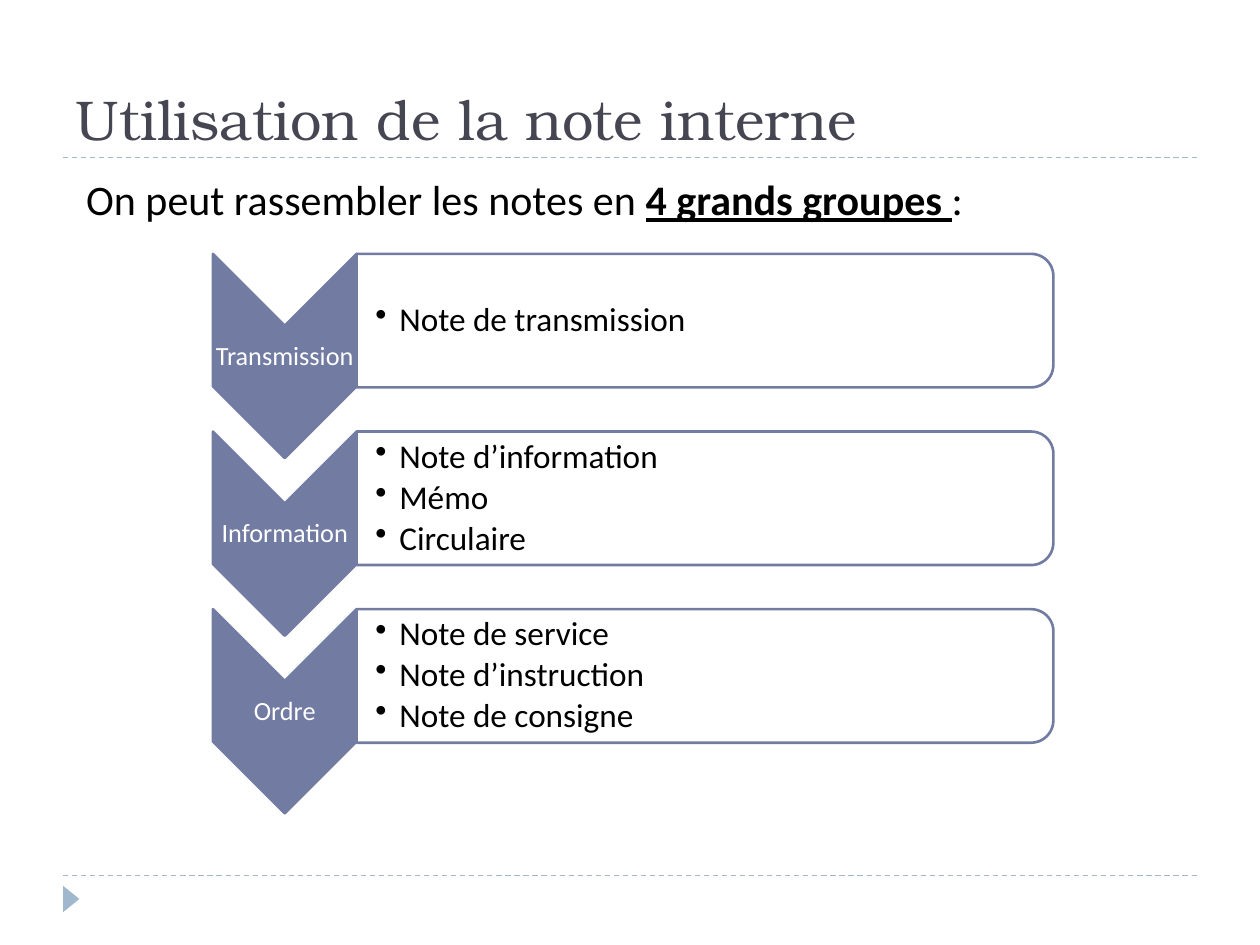
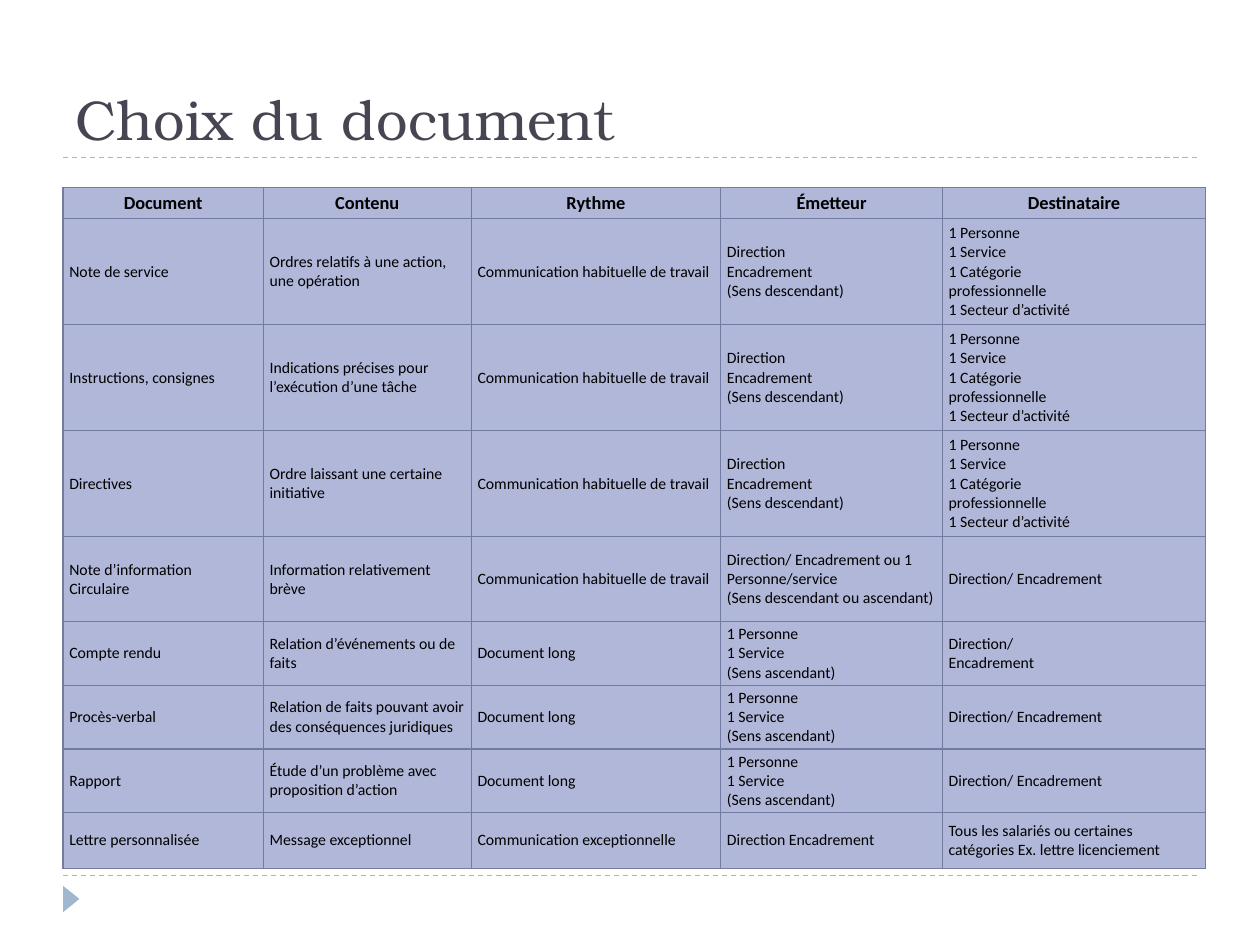
from lxml import etree
from pptx import Presentation
from pptx.dml.color import RGBColor
from pptx.enum.dml import MSO_LINE
from pptx.enum.shapes import MSO_CONNECTOR, MSO_SHAPE
from pptx.enum.text import MSO_ANCHOR, PP_ALIGN
from pptx.oxml.ns import qn
from pptx.util import Inches, Pt

# Square grid: 100 columns by 75 rows
SLIDE_W, SLIDE_H = Inches(10), Inches(7.5)
UNIT = SLIDE_W // 100
MARGIN, CONTENT_W = 5, 90
TITLE_RULE, FOOTER_RULE = 12.5, 69.5

BODY_FONT, TITLE_FONT = "Calibri", "TeX Gyre Bonum"
BLACK, WHITE, INK = "000000", "FFFFFF", "464653"
ACCENT, PALE_BLUE, CELL_BLUE = "727CA3", "9FB8CD", "B0B7D8"

LEFT, CENTER, JUSTIFY = PP_ALIGN.LEFT, PP_ALIGN.CENTER, PP_ALIGN.JUSTIFY
TOP, MIDDLE, BOTTOM = MSO_ANCHOR.TOP, MSO_ANCHOR.MIDDLE, MSO_ANCHOR.BOTTOM
DASH, STRAIGHT = MSO_LINE.DASH, MSO_CONNECTOR.STRAIGHT
TRIANGLE, CHEVRON = MSO_SHAPE.ISOSCELES_TRIANGLE, MSO_SHAPE.CHEVRON
PANEL = MSO_SHAPE.ROUND_2_SAME_RECTANGLE

# Chevron list: geometry in grid units
LIST_TOP, LIST_STEP = 20.15, 14.1
CHEVRON_X, CHEVRON_W, CHEVRON_H = 16.9, 11.4, 16.2
PANEL_X, PANEL_W, PANEL_H = 28.3, 55.3, 10.6

GROUPS = [
    ("Transmission", ["Note de transmission"]),
    ("Information", ["Note d’information", "Mémo", "Circulaire"]),
    ("Ordre", ["Note de service", "Note d’instruction", "Note de consigne"]),
]

# Table: \v breaks a line, \n starts a paragraph
COL_WIDTHS = [15.9, 16.5, 19.8, 17.6, 20.9]
ROW_HEIGHTS = [2.45, 8.42, 8.42, 8.42, 6.75, 5.05, 5.05, 5.05, 4.45]
HEADERS = ["Document", "Contenu", "Rythme", "Émetteur", "Destinataire"]
USUAL, LONG = "Communication habituelle de travail", "Document long"
DOWNWARD = "Direction\vEncadrement\v(Sens descendant)"
UPWARD = "1 Personne\v1 Service\v(Sens ascendant)"
STAFF = ("1 Personne\v1 Service\v1 Catégorie\vprofessionnelle\v"
         "1 Secteur d’activité")
MANAGERS = "Direction/ Encadrement"
DOCUMENTS = [
    ["Note de service", "Ordres relatifs à une action, une opération",
     USUAL, DOWNWARD, STAFF],
    ["Instructions, consignes",
     "Indications précises pour l’exécution d’une tâche",
     USUAL, DOWNWARD, STAFF],
    ["Directives", "Ordre laissant une certaine initiative",
     USUAL, DOWNWARD, STAFF],
    ["Note d’information\vCirculaire", "Information relativement brève", USUAL,
     "Direction/ Encadrement ou 1 Personne/service\v"
     "(Sens descendant ou ascendant)", MANAGERS],
    ["Compte rendu", "Relation d’événements ou de faits",
     LONG, UPWARD, "Direction/\nEncadrement"],
    ["Procès-verbal",
     "Relation de faits pouvant avoir des conséquences juridiques",
     LONG, UPWARD, MANAGERS],
    ["Rapport", "Étude d’un problème avec proposition d’action",
     LONG, UPWARD, MANAGERS],
    ["Lettre personnalisée", "Message exceptionnel",
     "Communication exceptionnelle", "Direction Encadrement",
     "Tous les salariés ou certaines catégories Ex. lettre licenciement"],
]


def rgb(hex_color):
    return RGBColor.from_string(hex_color)


def grid(*lengths):
    return [round(n * UNIT) for n in lengths]


def format_text(tf, size, color, font=BODY_FONT, align=LEFT, bold=False):
    for p in tf.paragraphs:
        p.alignment = align
        for r in p.runs:
            r.font.name, r.font.size, r.font.bold = font, Pt(size), bold
            r.font.color.rgb = rgb(color)
        for br in p._p.findall(qn("a:br")):
            etree.SubElement(br, qn("a:rPr"), sz=str(int(size * 100)))


def add_text(s, box, text, size, color, anchor=TOP, insets=None, **style):
    tf = s.shapes.add_textbox(*grid(*box)).text_frame
    tf.word_wrap, tf.vertical_anchor = True, anchor
    if insets:
        (tf.margin_left, tf.margin_top,
         tf.margin_right, tf.margin_bottom) = grid(*insets)
    tf.text = text
    format_text(tf, size, color, **style)
    return tf


def add_turned_shape(s, kind, box, fill, line=None):
    """Place a shape turned a quarter clockwise so that it covers box."""
    x, y, w, h = box
    sp = s.shapes.add_shape(
        kind, *grid(x + (w - h) / 2, y + (h - w) / 2, h, w))
    sp.rotation = 90
    sp.shadow.inherit = False
    sp.fill.solid()
    sp.fill.fore_color.rgb = rgb(fill)
    if line:
        sp.line.color.rgb, sp.line.width = rgb(line), Pt(1.5)
    else:
        sp.line.fill.background()


def add_rule(s, row):
    x1, y, x2 = grid(MARGIN, row, MARGIN + CONTENT_W)
    rule = s.shapes.add_connector(STRAIGHT, x1, y, x2, y)
    rule.line.color.rgb, rule.line.width = rgb(PALE_BLUE), Pt(0.75)
    rule.line.dash_style = DASH
    etree.SubElement(rule._element.spPr, qn("a:effectLst"))


def add_slide(prs, title):
    s = prs.slides.add_slide(prs.slide_layouts[6])
    for row in (FOOTER_RULE, TITLE_RULE):
        add_rule(s, row)
    add_turned_shape(s, TRIANGLE, (MARGIN, 70.3, 1.3, 2.1), PALE_BLUE)
    add_text(s, (MARGIN, 1.7, CONTENT_W, TITLE_RULE - 1.7), title, 32, INK,
             anchor=BOTTOM, font=TITLE_FONT)
    return s


def add_bullets(tf):
    indent = grid(1.9)[0]
    for p in tf.paragraphs:
        p.line_spacing, p.space_after = 0.9, Pt(2.85)
        pPr = p._p.get_or_add_pPr()
        pPr.set("marL", str(indent))
        pPr.set("indent", str(-indent))
        etree.SubElement(pPr, qn("a:buChar"), char="•")


def add_group(s, top, label, notes):
    add_turned_shape(s, CHEVRON, (CHEVRON_X, top, CHEVRON_W, CHEVRON_H),
                     ACCENT, ACCENT)
    tf = add_text(s, (CHEVRON_X, top + 5.7, CHEVRON_W, 4.9), label, 15, WHITE,
                  MIDDLE, (0.1, 0.1, 0.1, 0.1), align=CENTER)
    tf.paragraphs[0].line_spacing = 0.9
    add_turned_shape(s, PANEL, (PANEL_X, top, PANEL_W, PANEL_H), WHITE, ACCENT)
    tf = add_text(s, (PANEL_X, top + 0.55, PANEL_W - 0.5, PANEL_H - 1.1),
                  "\n".join(notes), 19, BLACK, MIDDLE, (1.5, 0.1, 0.1, 0.1))
    add_bullets(tf)


def add_intro(s, before, emphasis, after):
    tf = add_text(s, (5.1, 13.3, 89.9, 9.2), before, 24, BLACK, align=JUSTIFY)
    p = tf.paragraphs[0]
    p.space_before = Pt(6)
    for text in (emphasis, after):
        p.add_run().text = text
    format_text(tf, 24, BLACK, align=JUSTIFY)
    r = p.runs[1]
    r.font.bold = r.font.underline = True


def add_borders(cell, color, width):
    tcPr = cell._tc.get_or_add_tcPr()
    for i, side in enumerate(("lnL", "lnR", "lnT", "lnB")):
        ln = etree.Element(qn("a:" + side), w=str(Pt(width)))
        fill = etree.SubElement(ln, qn("a:solidFill"))
        etree.SubElement(fill, qn("a:srgbClr"), val=color)
        tcPr.insert(i, ln)


def fill_cell(cell, text, **style):
    cell.text_frame.text = text
    cell.vertical_anchor = MIDDLE
    cell.margin_left = cell.margin_right = grid(0.5)[0]
    cell.margin_top = cell.margin_bottom = 0
    cell.fill.solid()
    cell.fill.fore_color.rgb = rgb(CELL_BLUE)
    add_borders(cell, ACCENT, 0.75)
    format_text(cell.text_frame, color=BLACK, **style)


def add_document_table(s):
    rows = [HEADERS] + DOCUMENTS
    box = grid(MARGIN, 14.9, sum(COL_WIDTHS), sum(ROW_HEIGHTS))
    table = s.shapes.add_table(len(rows), len(HEADERS), *box).table
    for column, width in zip(table.columns, grid(*COL_WIDTHS)):
        column.width = width
    for row, height in zip(table.rows, grid(*ROW_HEIGHTS)):
        row.height = height
    for i, texts in enumerate(rows):
        style = {"size": 9} if i else {
            "size": 10.5, "bold": True, "align": CENTER}
        for j, text in enumerate(texts):
            fill_cell(table.cell(i, j), text, **style)


def main():
    prs = Presentation()
    prs.slide_width, prs.slide_height = SLIDE_W, SLIDE_H

    # Groups of notes
    s = add_slide(prs, "Utilisation de la note interne")
    add_intro(s, " On peut rassembler les notes en ", "4 grands groupes ", ":")
    for i, (label, notes) in enumerate(GROUPS):
        add_group(s, LIST_TOP + i * LIST_STEP, label, notes)

    # Comparison of documents
    s = add_slide(prs, "Choix du document")
    add_document_table(s)

    prs.save("out.pptx")


if __name__ == "__main__":
    main()
